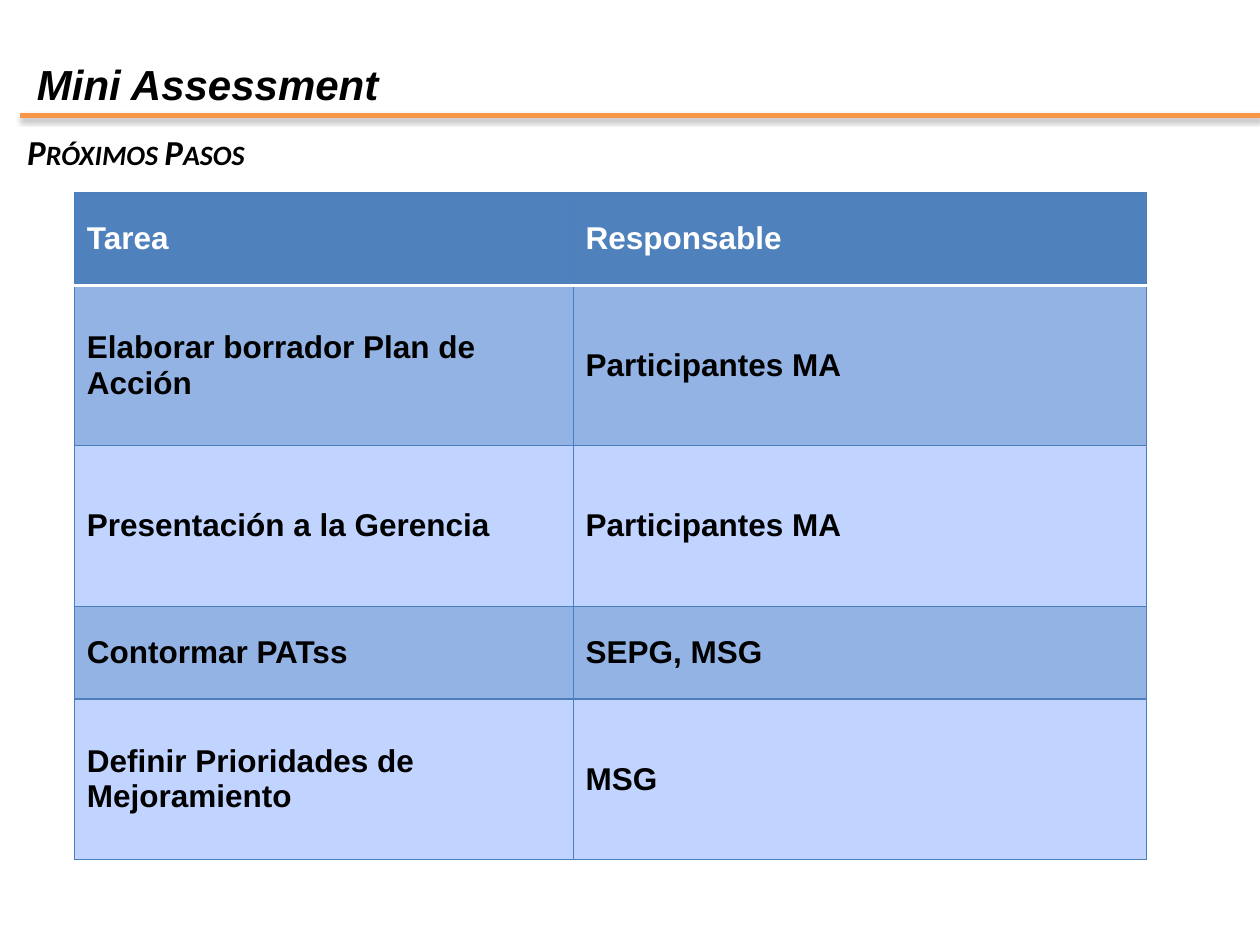
"""Build the slide with the next steps of the Mini Assessment."""
from lxml.etree import SubElement
from pptx import Presentation
from pptx.dml.color import RGBColor
from pptx.enum.shapes import MSO_CONNECTOR
from pptx.enum.text import MSO_ANCHOR
from pptx.oxml import parse_xml
from pptx.oxml.ns import nsdecls, qn
from pptx.util import Pt

COLORS = {
    "text": "000000",
    "white": "FFFFFF",
    "rule": "F79646",
    "header": "4F81BD",
    "dark_band": "93B3E4",
    "light_band": "C0D4FF",
    "border": "4B7EBC",
}
COLUMN_WIDTHS = [285, 327.5]
ROW_HEIGHTS = [53, 91.75, 91.75, 53, 91.75]
TASKS = [
    ("Tarea", "Responsable"),
    ("Elaborar borrador Plan de Acción", "Participantes MA"),
    ("Presentación a la Gerencia", "Participantes MA"),
    ("Contormar PATss", "SEPG, MSG"),
    ("Definir Prioridades de Mejoramiento", "MSG"),
]


def color(name):
    return RGBColor.from_string(COLORS[name])


def style_font(font, name, size, color_name, italic=False):
    font.name = name
    font.size = Pt(size)
    font.bold = True
    font.italic = italic
    font.color.rgb = color(color_name)


def add_heading(slide, text, box, font_name, size):
    shape = slide.shapes.add_textbox(*map(Pt, box))
    shape.text_frame.word_wrap = True
    paragraph = shape.text_frame.paragraphs[0]
    paragraph.text = text
    style_font(paragraph.font, font_name, size, "text", italic=True)
    return paragraph


def add_rule(slide, left, right, top):
    connector = slide.shapes.add_connector(
        MSO_CONNECTOR.STRAIGHT, Pt(left), Pt(top), Pt(right), Pt(top))
    connector.line.color.rgb = color("rule")
    connector.line.width = Pt(3)
    connector._element.spPr.append(parse_xml(
        f'<a:effectLst {nsdecls("a")}>'
        f'<a:outerShdw blurRad="{Pt(3.1)}" dist="{Pt(1.8)}" dir="5400000" rotWithShape="0">'
        '<a:srgbClr val="000000"><a:alpha val="35000"/></a:srgbClr>'
        '</a:outerShdw></a:effectLst>'))


def set_border(cell, side, color_name, width):
    properties = cell._tc.get_or_add_tcPr()
    line = SubElement(properties, qn(f"a:{side}"), w=str(Pt(width)))
    fill = SubElement(line, qn("a:solidFill"))
    SubElement(fill, qn("a:srgbClr"), val=COLORS[color_name])


def style_cell(cell, text, row):
    cell.vertical_anchor = MSO_ANCHOR.MIDDLE
    paragraph = cell.text_frame.paragraphs[0]
    paragraph.text = text
    style_font(paragraph.font, "Arial", 18, "text" if row else "white")
    for side in ("lnL", "lnR", "lnT", "lnB"):
        below_header = (row, side) in ((0, "lnB"), (1, "lnT"))
        set_border(cell, side, *(("white", 2) if below_header else ("border", 0.75)))
    band = "dark_band" if row % 2 else "light_band"
    cell.fill.solid()
    cell.fill.fore_color.rgb = color(band if row else "header")


def add_task_table(slide, left, top):
    table = slide.shapes.add_table(
        len(TASKS), len(COLUMN_WIDTHS), Pt(left), Pt(top),
        Pt(sum(COLUMN_WIDTHS)), Pt(sum(ROW_HEIGHTS))).table
    for column, width in zip(table.columns, COLUMN_WIDTHS):
        column.width = Pt(width)
    for row, (height, texts) in enumerate(zip(ROW_HEIGHTS, TASKS)):
        table.rows[row].height = Pt(height)
        for column, text in enumerate(texts):
            style_cell(table.cell(row, column), text, row)


def main():
    presentation = Presentation()
    presentation.slide_width, presentation.slide_height = Pt(720), Pt(540)
    slide = presentation.slides.add_slide(presentation.slide_layouts[6])
    add_rule(slide, 11.5, 720, 65.8)
    add_heading(slide, "Mini Assessment", (14, 29.8, 505, 36.5), "Arial", 24)
    subtitle = add_heading(slide, "Próximos Pasos", (8.5, 71, 698, 34.5), "Calibri", 20)
    subtitle.runs[0].font._element.set("cap", "small")
    style_font(subtitle.runs[0].font, "Calibri", 20, "text", italic=True)
    add_task_table(slide, 42.5, 110)
    presentation.save("out.pptx")


if __name__ == "__main__":
    main()
